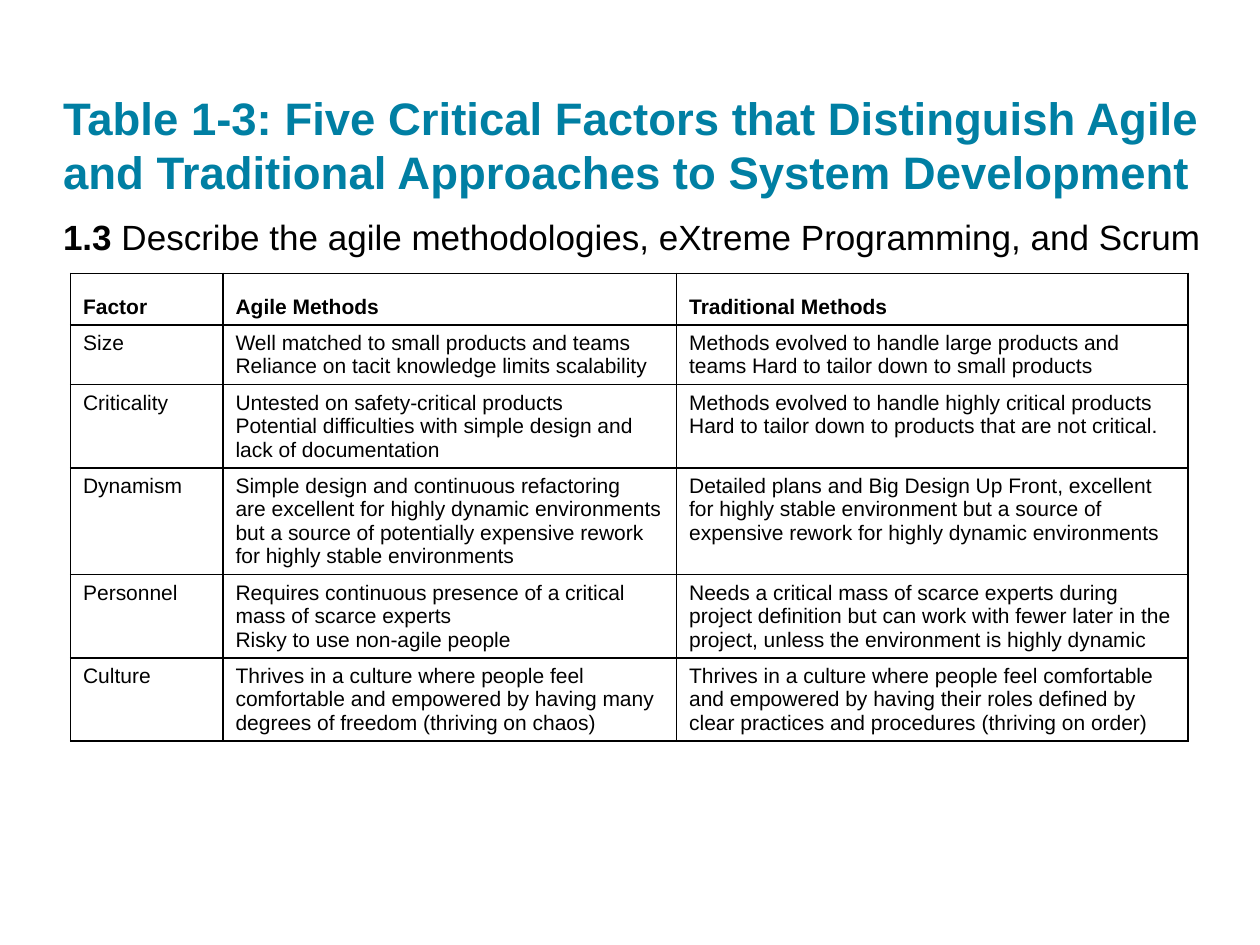
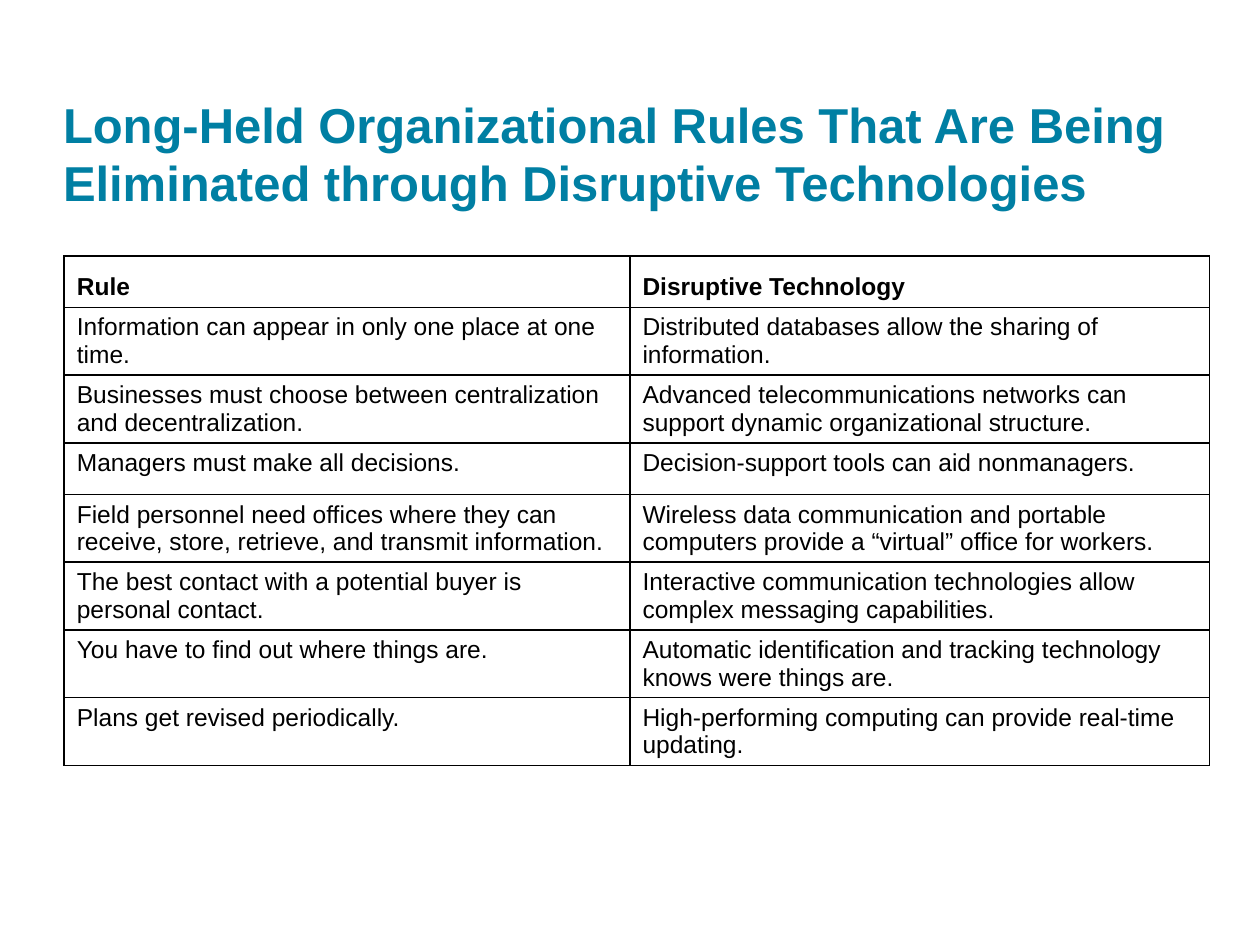
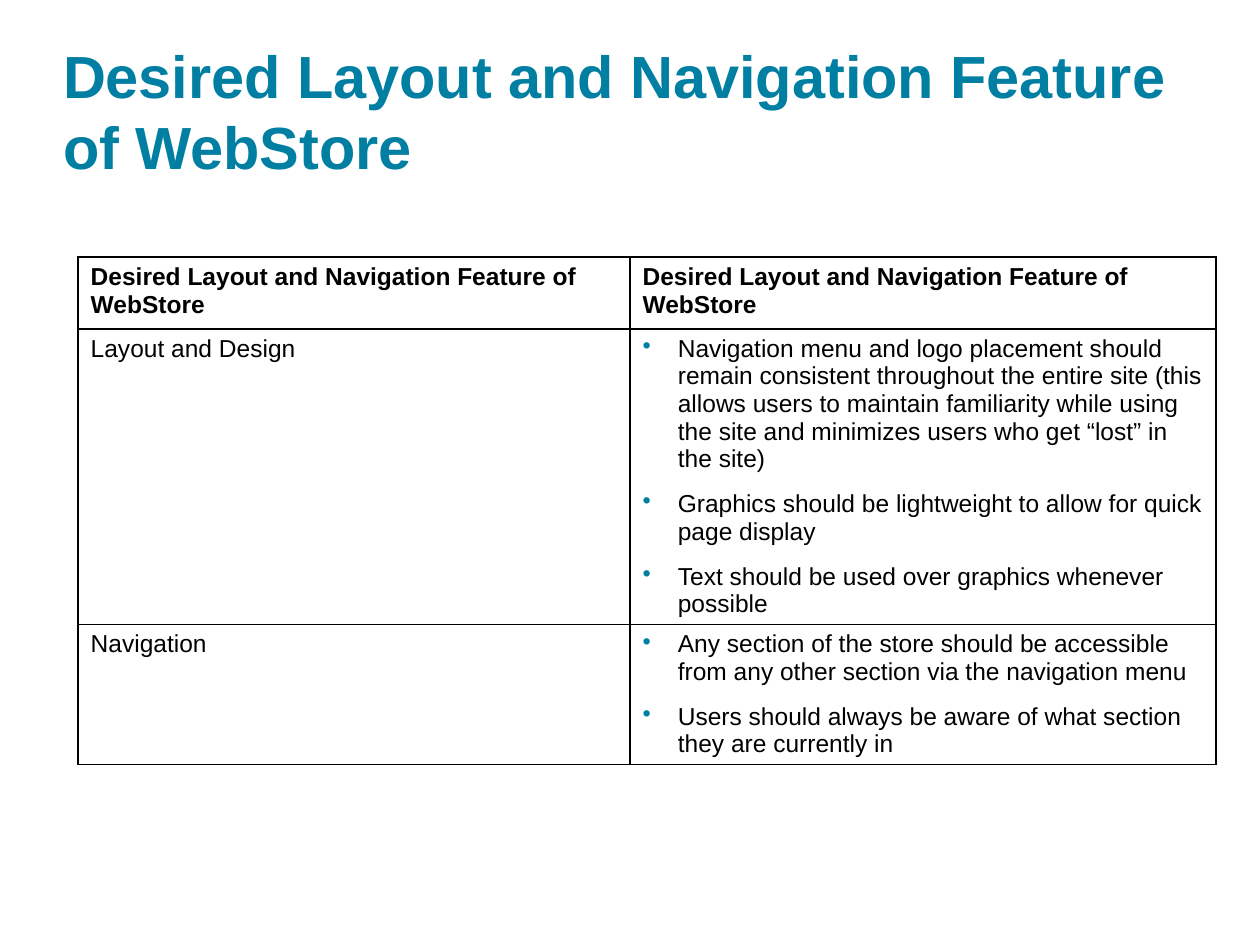
"""Build three slides on system development, each a title over a ruled table."""
from lxml import etree
from pptx import Presentation
from pptx import util as u
from pptx.dml.color import RGBColor
from pptx.enum import text
from pptx.oxml import parse_xml
from pptx.oxml.ns import nsdecls, qn

FONT, TEAL, BLACK = "Arial", "007FA3", "000000"

prs = Presentation()
prs.slide_width, prs.slide_height = u.Inches(10), u.Inches(7.5)
UNIT = prs.slide_width // 100


def grid(*units):
    """Turn hundredths of the slide width into lengths."""
    return [u.Emu(round(n * UNIT)) for n in units]


def write(tf, content, size=14, bold=False, color=BLACK, bullet=False, lead="", anchor="TOP"):
    """Fill a text frame, one paragraph a line, with an optional bold lead-in."""
    tf.vertical_anchor = text.MSO_ANCHOR[anchor]
    for i, line in enumerate(content.split("\n")):
        p = tf.paragraphs[0] if i == 0 else tf.add_paragraph()
        pPr = p._p.get_or_add_pPr()
        indent = grid(2.8)[0] if bullet else 0
        pPr.set("marL", str(indent))
        pPr.set("indent", str(-indent))
        if bullet:
            clr = etree.SubElement(pPr, qn("a:buClr"))
            etree.SubElement(clr, qn("a:srgbClr"), val=TEAL)
            etree.SubElement(pPr, qn("a:buChar"), char="•")
        else:
            etree.SubElement(pPr, qn("a:buNone"))
        p.alignment = text.PP_ALIGN.LEFT
        p.space_before = u.Pt(10 if bullet and i else 0)
        for part, heavy in ((lead, True), (line, bold)):
            if part:
                r = p.add_run()
                r.text = part
                r.font.name, r.font.size, r.font.bold = FONT, u.Pt(size), heavy
                r.font.color.rgb = RGBColor.from_string(color)


slides = [
    dict(
        title="Table 1-3: Five Critical Factors that Distinguish Agile and Traditional "
              "Approaches to System Development",
        title_size=26, title_box=(5, 2.4, 92.1, 13.4),
        lead="1.3", body=" Describe the agile methodologies, eXtreme Programming, and Scrum",
        origin=(5.6, 21.7), cols=(12.1, 36, 40.6), heights=[4.1] * 6, size=12, head_anchor="BOTTOM",
        rows=[
            ("Factor", "Agile Methods", "Traditional Methods"),
            ("Size",
             "Well matched to small products and teams Reliance on tacit knowledge limits scalability",
             "Methods evolved to handle large products and teams Hard to tailor down to small products"),
            ("Criticality",
             "Untested on safety-critical products\n"
             "Potential difficulties with simple design and lack of documentation",
             "Methods evolved to handle highly critical products Hard to tailor down to products "
             "that are not critical."),
            ("Dynamism",
             "Simple design and continuous refactoring\n"
             "are excellent for highly dynamic environments but a source of potentially expensive "
             "rework for highly stable environments",
             "Detailed plans and Big Design Up Front, excellent for highly stable environment but "
             "a source of expensive rework for highly dynamic environments"),
            ("Personnel",
             "Requires continuous presence of a critical mass of scarce experts\n"
             "Risky to use non-agile people",
             "Needs a critical mass of scarce experts during project definition but can work with "
             "fewer later in the project, unless the environment is highly dynamic"),
            ("Culture",
             "Thrives in a culture where people feel comfortable and empowered by having many "
             "degrees of freedom (thriving on chaos)",
             "Thrives in a culture where people feel comfortable and empowered by having their "
             "roles defined by clear practices and procedures (thriving on order)"),
        ]),
    dict(
        title="Long-Held Organizational Rules That Are Being Eliminated through Disruptive Technologies",
        title_size=28, title_box=(5, 2.4, 90, 14.4),
        origin=(5.1, 20.3), cols=(44.9, 46), heights=[4.1] * 8, size=14, head_anchor="BOTTOM",
        rows=[
            ("Rule", "Disruptive Technology"),
            ("Information can appear in only one place at one time.",
             "Distributed databases allow the sharing of information."),
            ("Businesses must choose between centralization and decentralization.",
             "Advanced telecommunications networks can support dynamic organizational structure."),
            ("Managers must make all decisions.",
             "Decision-support tools can aid nonmanagers."),
            ("Field personnel need offices where they can receive, store, retrieve, and transmit information.",
             "Wireless data communication and portable computers provide a “virtual” office for workers."),
            ("The best contact with a potential buyer is personal contact.",
             "Interactive communication technologies allow complex messaging capabilities."),
            ("You have to find out where things are.",
             "Automatic identification and tracking technology knows were things are."),
            ("Plans get revised periodically.",
             "High-performing computing can provide real-time updating."),
        ]),
    dict(
        title="Desired Layout and Navigation Feature of WebStore",
        title_size=34, title_box=(5, 2.4, 90, 12),
        origin=(6.2, 20.4), cols=(43.8, 46.5), heights=(5.7, 4.1, 4), size=14, head_anchor="TOP",
        bullet_col=1,
        rows=[
            ("Desired Layout and Navigation Feature of WebStore",) * 2,
            ("Layout and Design",
             "Navigation menu and logo placement should remain consistent throughout the entire "
             "site (this allows users to maintain familiarity while using the site and minimizes "
             "users who get “lost” in the site)\n"
             "Graphics should be lightweight to allow for quick page display\n"
             "Text should be used over graphics whenever possible"),
            ("Navigation",
             "Any section of the store should be accessible from any other section via the navigation menu\n"
             "Users should always be aware of what section they are currently in"),
        ]),
]

for d in slides:
    s = prs.slides.add_slide(prs.slide_layouts[1 if "body" in d else 5])
    frames = [(s.shapes.title, d["title_box"], d["title"],
               dict(size=d["title_size"], bold=True, color=TEAL, anchor="BOTTOM"))]
    if "body" in d:
        frames.append((s.placeholders[1], (5, 17.1, 92.1, 3.2), d["body"], dict(size=20, lead=d["lead"])))
    for sp, box, content, style in frames:
        sp.left, sp.top, sp.width, sp.height = grid(*box)
        tf = sp.text_frame
        tf.auto_size = text.MSO_AUTO_SIZE.NONE
        tf.margin_left = tf.margin_top = tf.margin_right = tf.margin_bottom = 0
        write(tf, content, **style)

    tbl = s.shapes.add_table(len(d["rows"]), len(d["cols"]), *grid(
        *d["origin"], sum(d["cols"]), sum(d["heights"]))).table
    tbl.first_row = tbl.horz_banding = False
    for col, width in zip(tbl.columns, grid(*d["cols"])):
        col.width = width
    for row, height in zip(tbl.rows, grid(*d["heights"])):
        row.height = height
    for i, row in enumerate(d["rows"]):
        for j, content in enumerate(row):
            cell = tbl.cell(i, j)
            tcPr = cell._tc.get_or_add_tcPr()
            for side in "LRTB":
                tcPr.append(parse_xml(
                    f'<a:ln{side} {nsdecls("a")} w="{u.Pt(1)}"><a:solidFill>'
                    f'<a:srgbClr val="{BLACK}"/></a:solidFill></a:ln{side}>'))
            cell.fill.background()
            write(cell.text_frame, content, size=d["size"], bold=i == 0,
                  bullet=i > 0 and j == d.get("bullet_col"))
            cell.vertical_anchor = text.MSO_ANCHOR[d["head_anchor"] if i == 0 else "TOP"]

prs.save("out.pptx")
